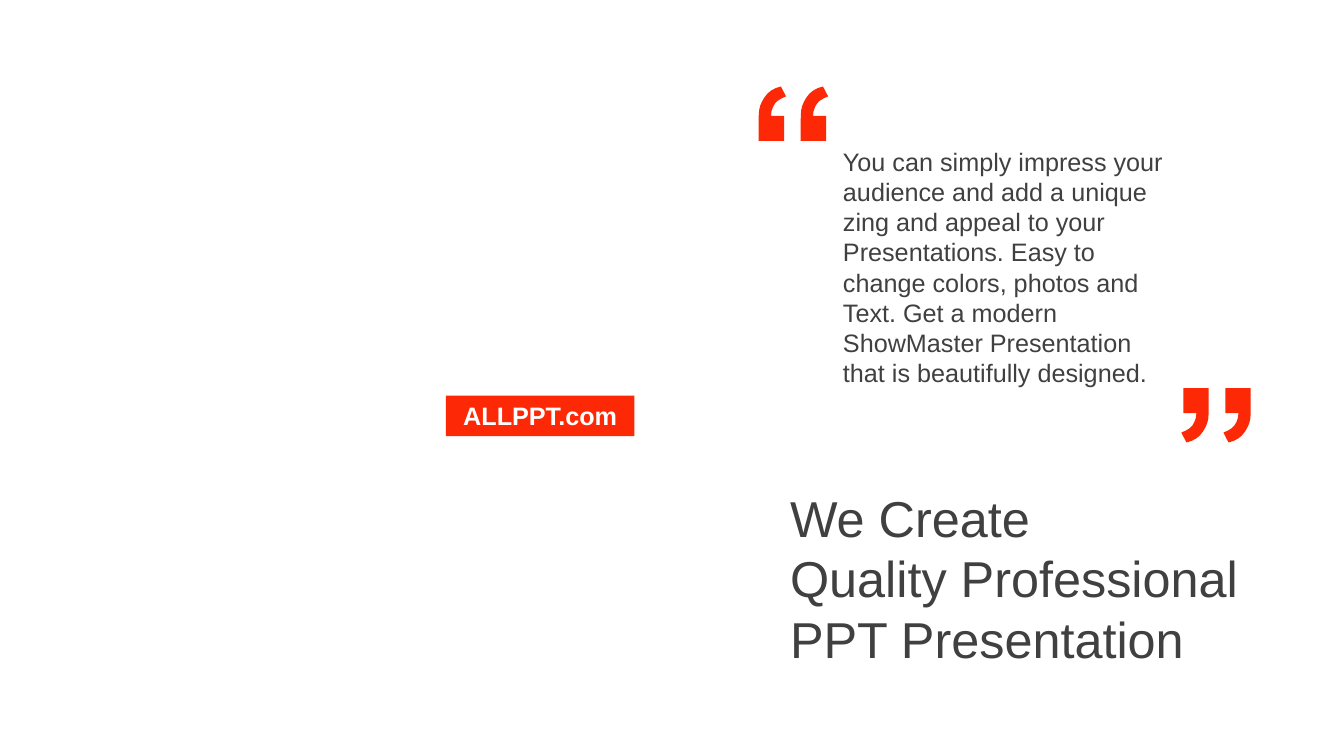
"""Build a quote slide with a red address badge and a three-line title."""
from pptx import Presentation
from pptx import util as u
from pptx.dml import color
from pptx.enum import shapes, text
from pptx.oxml import ns

RED, GREY, WHITE = "FD2906", "404040", "FFFFFF"
rgb = color.RGBColor.from_string


def format_text(tf, size, hex_color, align, anchor, bold=False):
    tf.word_wrap = True
    tf.auto_size = text.MSO_AUTO_SIZE.NONE
    tf.vertical_anchor = anchor
    for p in tf.paragraphs:
        p.alignment = align
        p.space_before = u.Pt(0)
        for r in p.runs:
            r.font.name = "Arial"
            r.font.size = u.Pt(size)
            r.font.bold = bold
            r.font.color.rgb = rgb(hex_color)


def paint(sp, hex_color):
    sp.shadow.inherit = False
    sp.fill.solid()
    sp.fill.fore_color.rgb = rgb(hex_color)
    sp.line.fill.background()


prs = Presentation()
prs.slide_width, prs.slide_height = u.Cm(33.87), u.Cm(19.05)
s = prs.slides.add_slide(prs.slide_layouts[1])
left, top, middle = text.PP_ALIGN.LEFT, text.MSO_ANCHOR.TOP, text.MSO_ANCHOR.MIDDLE

badge = s.shapes.add_shape(shapes.MSO_SHAPE.RECTANGLE,
                           u.Cm(11.24), u.Cm(9.97), u.Cm(4.75), u.Cm(1.02))
paint(badge, RED)
badge.text_frame.text = "ALLPPT.com"
format_text(badge.text_frame, 18, WHITE, text.PP_ALIGN.CENTER, middle, bold=True)

quote = s.placeholders[1]
quote.left, quote.top, quote.width, quote.height = u.Cm(20.99), u.Cm(3.55), u.Cm(8.84), u.Cm(6.4)
tf = quote.text_frame
tf.text = ("You can simply impress your audience and add a unique zing and appeal "
           "to your Presentations. Easy to change colors, photos and Text. Get a "
           "modern ShowMaster Presentation that is beautifully designed.")
pPr = tf.paragraphs[0]._p.get_or_add_pPr()
pPr.set("marL", "0")
pPr.set("indent", "0")
pPr.append(pPr.makeelement(ns.qn("a:buNone"), {}))
format_text(tf, 18, GREY, left, top)

# Each segment holds one end point, or two control points and an end point.
segments = [
    [(0.69, 0.25)],
    [(0.56, 0.3), (0.46, 0.36), (0.41, 0.43)],
    [(0.36, 0.51), (0.31, 0.61), (0.31, 0.74)],
    [(0.64, 0.74)], [(0.64, 1.37)], [(0, 1.37)], [(0, 0.91)],
    [(0, 0.74), (0, 0.58), (0.04, 0.48)],
    [(0.08, 0.38), (0.13, 0.28), (0.22, 0.18)],
    [(0.3, 0.1), (0.42, 0.03), (0.56, 0)],
]
mark = [(0.56, 0)]
for segment in segments:
    if len(segment) == 1:
        mark += segment
        continue
    curve = [mark[-1]] + segment
    for t in (1 / 3, 2 / 3, 1):
        weights = (1 - t) ** 3, 3 * t * (1 - t) ** 2, 3 * t ** 2 * (1 - t), t ** 3
        mark.append(tuple(sum(w * pt[axis] for w, pt in zip(weights, curve))
                          for axis in (0, 1)))

for x, y, rotation in [(19.12, 2.18, 0), (29.77, 9.78, 180)]:
    builder = s.shapes.build_freeform(u.Cm(mark[0][0]), u.Cm(mark[0][1]))
    for offset in (0, 1.06):
        outline = [(u.Cm(px + offset), u.Cm(py)) for px, py in mark]
        if offset:
            builder.move_to(*outline[0])
        builder.add_line_segments(outline[1:-1], close=True)
    sp = builder.convert_to_shape(u.Cm(x), u.Cm(y))
    sp.rotation = rotation
    paint(sp, RED)

title = s.shapes.title
title.left, title.top, title.width, title.height = u.Cm(19.81), u.Cm(12.25), u.Cm(12.01), u.Cm(4.62)
tf = title.text_frame
tf.text = "We Create\nQuality Professional\nPPT Presentation"
tf.margin_left = tf.margin_right = u.Cm(0.1)
tf.margin_top = tf.margin_bottom = 0
format_text(tf, 36, GREY, left, middle)

prs.save("out.pptx")
